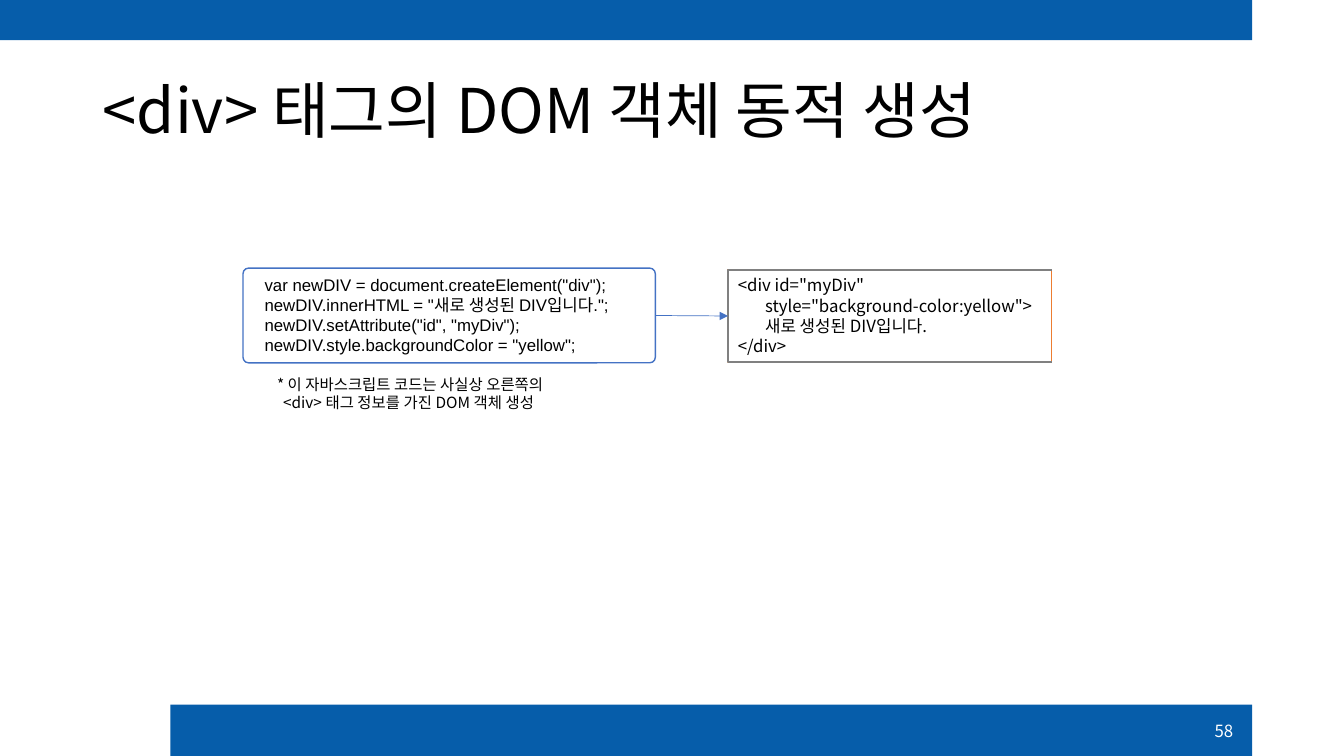
from lxml.etree import SubElement
from pptx import Presentation
from pptx.dml.color import RGBColor
from pptx.enum.shapes import MSO_CONNECTOR, MSO_SHAPE
from pptx.enum.text import MSO_ANCHOR, MSO_AUTO_SIZE, PP_ALIGN
from pptx.oxml.ns import qn
from pptx.util import Inches, Pt

THEME = {
    "korean": "Noto Sans CJK KR", "latin": "Arial",
    "title": 44, "code": 12, "note": 11, "number": 12,
    "bar": "065DAA", "blue": "4472C4", "orange": "ED7D31",
    "grey": "808080", "ink": "000000", "paper": "FFFFFF",
}
TITLE = ["<div> 태그의 DOM 객체 동적 생성"]
SCRIPT_LINES = [
    'var newDIV = document.createElement("div");',
    'newDIV.innerHTML = "새로 생성된 DIV입니다.";',
    'newDIV.setAttribute("id", "myDiv");',
    'newDIV.style.backgroundColor = "yellow";',
]
MARKUP_LINES = [
    '<div id="myDiv"',
    'style="background-color:yellow">',
    "새로 생성된 DIV입니다.",
    "</div>",
]
NOTE_LINES = [
    "* 이 자바스크립트 코드는 사실상 오른쪽의",
    "<div> 태그 정보를 가진 DOM 객체 생성",
]
PAGE_NUMBER = ["58"]

BARS = [(1.69, 6.99, 10.73, 0.51), (0, 0, 12.42, 0.4)]
SCRIPT_BOX = (2.41, 2.66, 4.09, 0.94)
MARKUP_BOX = (7.22, 2.68, 3.21, 0.91)


def color(name):
    return RGBColor.from_string(THEME[name])


def add_box(slide, kind, place, fill, line=None):
    shape = slide.shapes.add_shape(kind, *map(Inches, place))
    shape.shadow.inherit = False
    shape.fill.solid()
    shape.fill.fore_color.rgb = color(fill)
    if line:
        shape.line.color.rgb = color(line)
        shape.line.width = Pt(1)
    else:
        shape.line.fill.background()
    return shape


def write_text(shape, lines, size, font="korean", ink="ink", indents=None,
               anchor=MSO_ANCHOR.TOP, align=PP_ALIGN.LEFT, spacing=None):
    frame = shape.text_frame
    frame.word_wrap = True
    frame.auto_size = MSO_AUTO_SIZE.NONE
    frame.vertical_anchor = anchor
    for index, line in enumerate(lines):
        paragraph = frame.paragraphs[0] if index == 0 else frame.add_paragraph()
        paragraph.alignment = align
        paragraph.line_spacing = spacing
        if indents:
            properties = paragraph._p.get_or_add_pPr()
            properties.set("marL", str(Inches(indents[index])))
            properties.set("indent", "0")
        run = paragraph.add_run()
        run.text = line
        run.font.size = Pt(THEME[size])
        run.font.name = THEME[font]
        run.font.color.rgb = color(ink)
        SubElement(run.font._element, qn("a:ea"), typeface=THEME["korean"])


def add_text(slide, place, lines, size, **text_format):
    shape = slide.shapes.add_textbox(*map(Inches, place))
    write_text(shape, lines, size, **text_format)


def add_grey_edges(slide, place):
    left, top, width, height = map(Inches, place)
    right, bottom = left + width, top + height
    builder = slide.shapes.build_freeform(right, top)
    builder.add_line_segments([(left, top), (left, bottom), (right, bottom)], close=False)
    edges = builder.convert_to_shape()
    edges.shadow.inherit = False
    edges.fill.background()
    edges.line.color.rgb = color("grey")
    edges.line.width = Pt(1)


def add_arrow(slide, source, target):
    arrow = slide.shapes.add_connector(MSO_CONNECTOR.STRAIGHT, 0, 0, 0, 0)
    arrow.begin_connect(source, 3)
    arrow.end_connect(target, 1)
    arrow.line.color.rgb = color("blue")
    arrow.line.width = Pt(0.5)
    SubElement(arrow.line._get_or_add_ln(), qn("a:tailEnd"), type="triangle")
    SubElement(arrow._element.spPr, qn("a:effectLst"))


def main():
    presentation = Presentation()
    presentation.slide_width = Inches(13.33)
    presentation.slide_height = Inches(7.5)
    slide = presentation.slides.add_slide(presentation.slide_layouts[6])

    for place in BARS:
        add_box(slide, MSO_SHAPE.RECTANGLE, place, "bar")
    add_text(slide, (0.92, 0.4, 11.5, 1.45), TITLE, "title",
             anchor=MSO_ANCHOR.MIDDLE, spacing=0.9)
    add_text(slide, (11.72, 7.05, 0.61, 0.4), PAGE_NUMBER, "number", ink="paper",
             anchor=MSO_ANCHOR.MIDDLE, align=PP_ALIGN.RIGHT)

    script_box = add_box(slide, MSO_SHAPE.ROUNDED_RECTANGLE, SCRIPT_BOX, "paper", "blue")
    script_box.adjustments[0] = 0.06
    write_text(script_box, SCRIPT_LINES, "code", font="latin",
               indents=[0.1] * len(SCRIPT_LINES))
    markup_box = add_box(slide, MSO_SHAPE.RECTANGLE, MARKUP_BOX, "paper", "orange")
    write_text(markup_box, MARKUP_LINES, "code", indents=[0, 0.27, 0.27, 0])
    add_grey_edges(slide, MARKUP_BOX)

    add_text(slide, (2.65, 3.67, 3.27, 0.47), NOTE_LINES, "note", indents=[0, 0.06])
    add_arrow(slide, script_box, markup_box)
    presentation.save("out.pptx")


if __name__ == "__main__":
    main()
